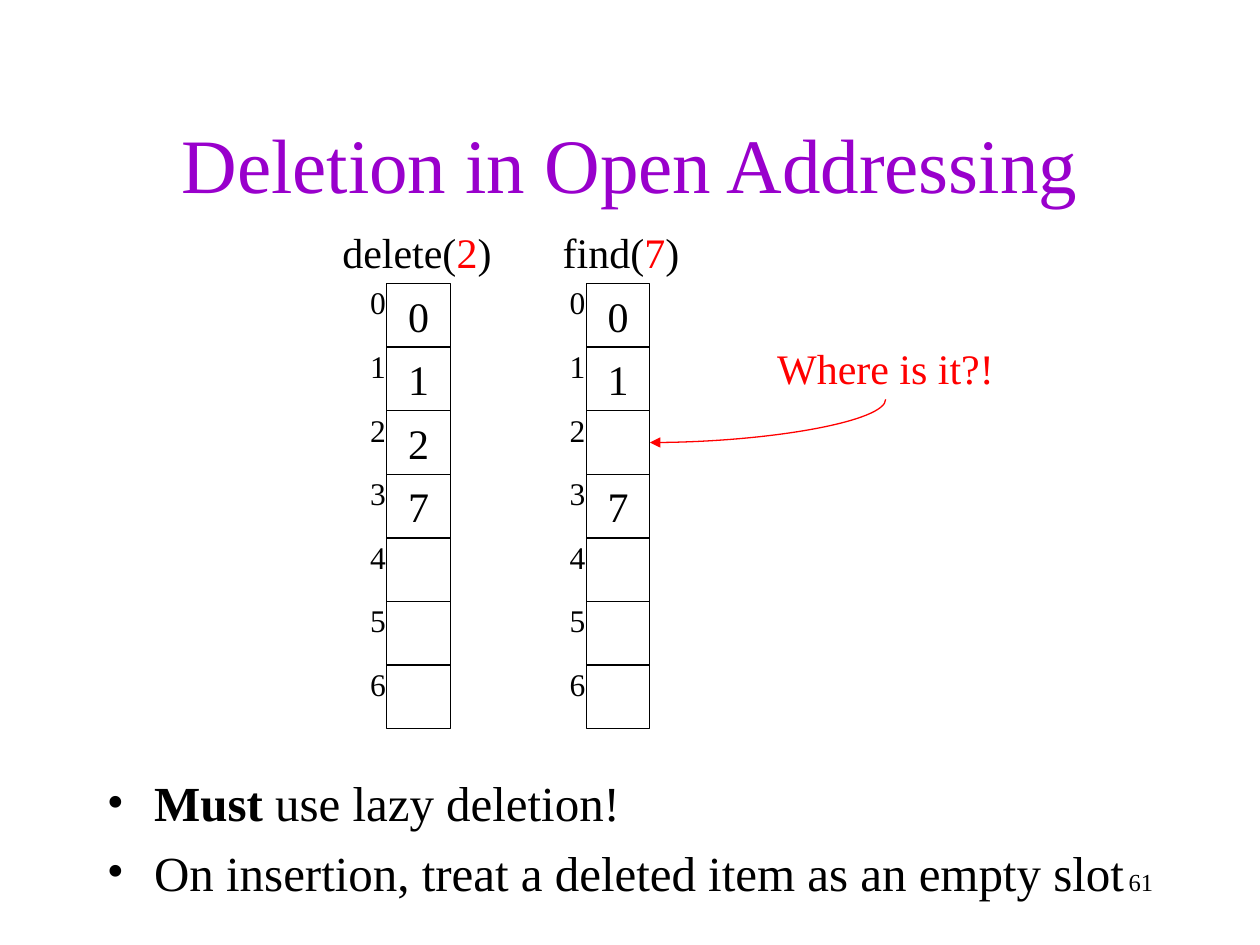
from pptx import Presentation
from pptx import util as u
from pptx.dml.color import RGBColor
from pptx.enum import shapes, text
from pptx.oxml import parse_xml
from pptx.oxml.ns import nsdecls, qn

THEME = {
    "font": "Times New Roman",
    "ink": RGBColor(0, 0, 0), "accent": RGBColor(255, 0, 0), "title": RGBColor(0x99, 0, 0xCC),
    "title_size": 44, "body_size": 28, "cell_size": 24, "index_size": 18, "page_size": 14,
    "line": 0.75,
}

TITLE = "Deletion in Open Addressing"
# Each hash table: left edge, caption box (left, width), caption call, slots
TABLES = [
    {"left": 221, "caption": (188.5, 99.4), "call": ("delete", "2"),
     "slots": ["0", "1", "2", "7", "", "", ""]},
    {"left": 335, "caption": (314.5, 86), "call": ("find", "7"),
     "slots": ["0", "1", "", "7", "", "", ""]},
]
MISSING_SLOT = 2
QUESTION = "Where is it?!"
# Bullets: bold start, rest
BULLETS = [("Must", " use lazy deletion!"),
           ("", "On insertion, treat a deleted item as an empty slot")]
PAGE_NUMBER = "61"

TABLE_TOP, PITCH, CELL = 162, 36.35, 36.4
INDEX_SHIFT = (-16.6, -3.6)
INDENT = 27


def style(para, size, color="ink", align=text.PP_ALIGN.LEFT):
    para.alignment = align
    para.font.name = THEME["font"]
    para.font.size = u.Pt(size)
    para.font.color.rgb = THEME[color]


def add_text(page, frame, words, size, color="ink", align=text.PP_ALIGN.LEFT,
             wrap=False, anchor=text.MSO_ANCHOR.TOP):
    box = page.shapes.add_textbox(*map(u.Pt, frame))
    box.text_frame.word_wrap = wrap
    box.text_frame.vertical_anchor = anchor
    para = box.text_frame.paragraphs[0]
    para.text = words
    style(para, size, color, align)
    return box


def add_cell(page, left, top, value):
    cell = page.shapes.add_shape(shapes.MSO_SHAPE.RECTANGLE, *map(u.Pt, (left, top, CELL, CELL)))
    cell.shadow.inherit = False
    cell.fill.background()
    cell.line.color.rgb = THEME["ink"]
    cell.line.width = u.Pt(THEME["line"])
    if value:
        frame = cell.text_frame
        frame.word_wrap = False
        frame.vertical_anchor = text.MSO_ANCHOR.MIDDLE
        frame.text = value
        style(frame.paragraphs[0], THEME["cell_size"], align=text.PP_ALIGN.CENTER)


def add_hash_table(page, table):
    left = table["left"]
    for index, value in enumerate(table["slots"]):
        top = TABLE_TOP + index * PITCH
        add_cell(page, left, top, value)
        add_text(page, (left + INDEX_SHIFT[0], top + INDEX_SHIFT[1], 23.8, 28.8),
                 str(index), THEME["index_size"])
    caption_left, caption_width = table["caption"]
    name, key = table["call"]
    caption = add_text(page, (caption_left, 126, caption_width, 36), name + "(", THEME["cell_size"])
    para = caption.text_frame.paragraphs[0]
    span = para.add_run()
    span.text = key
    span.font.color.rgb = THEME["accent"]
    para.add_run().text = ")"


def add_curved_arrow(page, start, end):
    """Curve that leaves start downwards and reaches end going left."""
    # A quarter turn swaps the width and height about the shared centre.
    width, height = end[1] - start[1], start[0] - end[0]
    left = (start[0] + end[0] - width) / 2
    top = (start[1] + end[1] - height) / 2
    arrow = page.shapes.add_connector(
        shapes.MSO_CONNECTOR.CURVE, *map(u.Pt, (left, top, left + width, top + height)))
    arrow.rotation = 90
    arrow.line.color.rgb = THEME["accent"]
    arrow.line.width = u.Pt(THEME["line"])
    props = arrow._element.spPr
    props.find(qn("a:prstGeom")).set("prst", "curvedConnector2")
    props.find(qn("a:ln")).append(parse_xml(f'<a:tailEnd {nsdecls("a")} type="triangle"/>'))
    props.append(parse_xml(f'<a:effectLst {nsdecls("a")}/>'))


def add_bullets(page):
    box = page.shapes.add_textbox(*map(u.Pt, (54, 438, 612, 102)))
    frame = box.text_frame
    frame.word_wrap = True
    for number, (strong, rest) in enumerate(BULLETS):
        para = frame.add_paragraph() if number else frame.paragraphs[0]
        props = para._p.get_or_add_pPr()
        props.set("marL", str(u.Pt(INDENT)))
        props.set("indent", str(-u.Pt(INDENT)))
        props.append(parse_xml(f'<a:buFont {nsdecls("a")} typeface="{THEME["font"]}"/>'))
        props.append(parse_xml(f'<a:buChar {nsdecls("a")} char="•"/>'))
        if number:
            para.space_before = u.Pt(6)
        if strong:
            span = para.add_run()
            span.text = strong
            span.font.bold = True
        para.add_run().text = rest
        style(para, THEME["body_size"])


def main():
    deck = Presentation()
    deck.slide_width, deck.slide_height = u.Pt(720), u.Pt(540)
    page = deck.slides.add_slide(deck.slide_layouts[6])

    for table in TABLES:
        add_hash_table(page, table)

    question = (437, 192.2, 138.2, 36)
    add_text(page, question, QUESTION, THEME["cell_size"], "accent")
    add_curved_arrow(
        page, (question[0] + question[2] / 2, question[1] + question[3]),
        (TABLES[1]["left"] + CELL, TABLE_TOP + MISSING_SLOT * PITCH + CELL / 2))

    add_text(page, (54, 48, 612, 90), TITLE, THEME["title_size"], "title",
             text.PP_ALIGN.CENTER, True, text.MSO_ANCHOR.MIDDLE)
    add_bullets(page)
    add_text(page, (516, 492, 150, 36), PAGE_NUMBER, THEME["page_size"],
             align=text.PP_ALIGN.RIGHT, wrap=True)
    deck.save("out.pptx")


if __name__ == "__main__":
    main()
